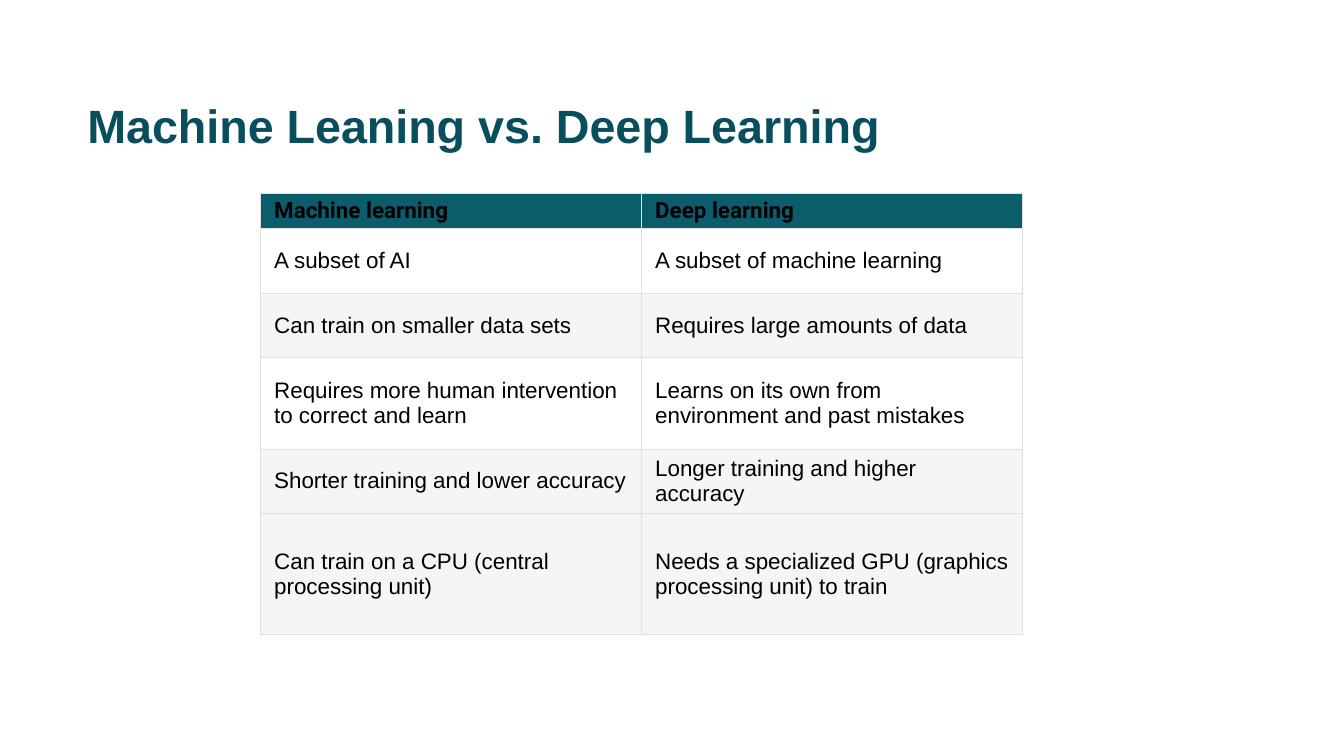
from lxml import etree
from pptx import Presentation
from pptx.dml.color import RGBColor
from pptx.enum.text import MSO_ANCHOR as Anchor, PP_ALIGN as Align
from pptx.oxml.ns import qn
from pptx.util import Inches, Pt

# Content
TITLE = "Machine Leaning vs. Deep Learning"
# Each row: height, fill colour, one text per column
ROWS = [
    (0.26, "header", ("Machine learning", "Deep learning")),
    (0.48, "white", ("A subset of AI", "A subset of machine learning")),
    (0.48, "grey", ("Can train on smaller data sets", "Requires large amounts of data")),
    (0.68, "white", ("Requires more human intervention to correct and learn",
                     "Learns on its own from environment and past mistakes")),
    (0.48, "grey", ("Shorter training and lower accuracy",
                    "Longer training and higher accuracy")),
    (0.90, "grey", ("Can train on a CPU (central processing unit)",
                    "Needs a specialized GPU (graphics processing unit) to train")),
]
COLORS = {"title": "094E5D", "text": "000000", "header": "0B5D6C",
          "white": "FFFFFF", "grey": "F5F5F5", "border": "E0E0E0"}
TABLE_LEFT, TABLE_TOP, TABLE_WIDTH = 1.94, 1.44, 5.67


def color(name):
    return RGBColor.from_string(COLORS[name])


def write(para, text, font, size, color_name, bold):
    para.alignment = Align.LEFT
    span = para.add_run()
    span.text = text
    span.font.name = font
    span.font.size = Pt(size)
    span.font.bold = bold
    span.font.color.rgb = color(color_name)


def set_margins(box, side, end, anchor):
    box.margin_left = box.margin_right = Inches(side)
    box.margin_top = box.margin_bottom = Inches(end)
    box.vertical_anchor = anchor


def add_borders(cell):
    # Border elements must come before the fill
    properties = cell._tc.get_or_add_tcPr()
    for index, side in enumerate(("lnL", "lnR", "lnT", "lnB")):
        line = etree.Element(qn(f"a:{side}"), w=str(Pt(0.38)))
        fill = etree.SubElement(line, qn("a:solidFill"))
        etree.SubElement(fill, qn("a:srgbClr"), val=COLORS["border"])
        properties.insert(index, line)


# Widescreen page, 16:9
deck = Presentation()
deck.slide_width = Inches(10)
deck.slide_height = deck.slide_width * 9 // 16
page = deck.slides.add_slide(deck.slide_layouts[5])
page.background.fill.solid()
page.background.fill.fore_color.rgb = color("white")

# Title
title = page.shapes.title
title.left, title.top = Inches(0.6), Inches(0.69)
title.width, title.height = Inches(8.66), Inches(0.52)
set_margins(title.text_frame, 0.05, 0.03, Anchor.TOP)
write(title.text_frame.paragraphs[0], TITLE, "Arial", 25, "title", True)

# Comparison table
column_count = len(ROWS[0][2])
table_height = sum(height for height, _, _ in ROWS)
table = page.shapes.add_table(
    len(ROWS), column_count, Inches(TABLE_LEFT), Inches(TABLE_TOP),
    Inches(TABLE_WIDTH), Inches(table_height)).table
table.horz_banding = False
for column in table.columns:
    column.width = Inches(TABLE_WIDTH / column_count)

for row_index, (height, fill_name, texts) in enumerate(ROWS):
    table.rows[row_index].height = Inches(height)
    is_header = row_index == 0
    for column_index, text in enumerate(texts):
        cell = table.cell(row_index, column_index)
        set_margins(cell, 0.1, 0.02, Anchor.MIDDLE)
        cell.fill.solid()
        cell.fill.fore_color.rgb = color(fill_name)
        add_borders(cell)
        write(cell.text_frame.paragraphs[0], text,
              "Roboto" if is_header else "Arial", 12, "text", is_header)

deck.save("out.pptx")
